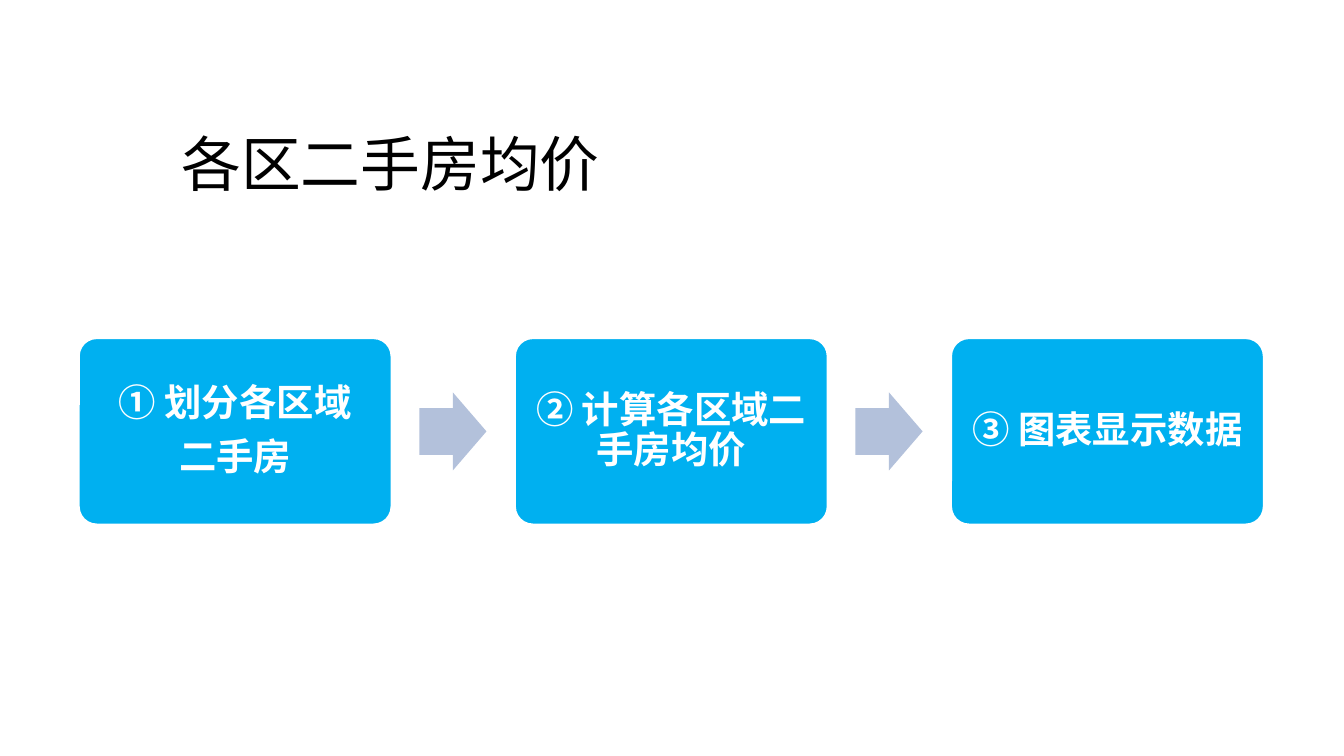
from dataclasses import dataclass

from pptx import Presentation
from pptx.dml.color import RGBColor
from pptx.enum.shapes import MSO_SHAPE
from pptx.enum.text import MSO_ANCHOR, PP_ALIGN
from pptx.util import Inches, Pt


@dataclass(frozen=True)
class Theme:
    title_font: str = "Calibri"
    step_font: str = "Arial"
    title_size: Pt = Pt(32)
    step_size: Pt = Pt(20)
    black: RGBColor = RGBColor(0x00, 0x00, 0x00)
    white: RGBColor = RGBColor(0xFF, 0xFF, 0xFF)
    box: RGBColor = RGBColor(0x00, 0xB0, 0xF0)
    arrow: RGBColor = RGBColor(0xB3, 0xC1, 0xDB)


theme = Theme()


def add_run(p, text, font, size, color, bold):
    r = p.add_run()
    r.text = text
    r.font.name = font
    r.font.size = size
    r.font.color.rgb = color
    r.font.bold = bold


def add_block(s, kind, left, top, width, height, fill):
    sp = s.shapes.add_shape(kind, Inches(left), Inches(top), Inches(width), Inches(height))
    sp.shadow.inherit = False
    sp.fill.solid()
    sp.fill.fore_color.rgb = fill
    return sp


prs = Presentation()
prs.slide_width = Inches(10)
prs.slide_height = Inches(10 * 9 / 16)
s = prs.slides.add_slide(prs.slide_layouts[5])

title = s.shapes.title
title.left, title.top = Inches(1.25), Inches(0.89)
title.width, title.height = Inches(8.59), Inches(0.67)
tf = title.text_frame
tf.word_wrap = True
tf.vertical_anchor = MSO_ANCHOR.TOP
p = tf.paragraphs[0]
p.alignment = PP_ALIGN.LEFT
add_run(p, "各区二手房均价", theme.title_font, theme.title_size, theme.black, False)

steps = [
    ["① 划分各区域", "二手房"],
    ["② 计算各区域二手房均价"],
    ["③ 图表显示数据"],
]
left, last_left, top, width, height = 0.58, 7.07, 2.51, 2.34, 1.4
pitch = (last_left - left) / (len(steps) - 1)
arrow_gap, arrow_width, arrow_height = 0.2, 0.5, 0.58

for i, lines in enumerate(steps):
    x = left + i * pitch
    sp = add_block(s, MSO_SHAPE.ROUNDED_RECTANGLE, x, top, width, height, theme.box)
    sp.adjustments[0] = 0.1
    sp.line.color.rgb = theme.white
    sp.line.width = Pt(2)

    tf = sp.text_frame
    tf.word_wrap = True
    tf.vertical_anchor = MSO_ANCHOR.MIDDLE
    tf.margin_left = tf.margin_right = tf.margin_top = tf.margin_bottom = Inches(0.08)
    for j, line in enumerate(lines):
        p = tf.add_paragraph() if j else tf.paragraphs[0]
        p.alignment = PP_ALIGN.CENTER
        p.line_spacing = 0.9
        p.space_after = Pt(7)
        add_run(p, line, theme.step_font, theme.step_size, theme.white, True)

    if i < len(steps) - 1:
        sp = add_block(s, MSO_SHAPE.RIGHT_ARROW, x + width + arrow_gap,
                       top + (height - arrow_height) / 2,
                       arrow_width, arrow_height, theme.arrow)
        sp.adjustments[0] = 0.6
        sp.adjustments[1] = 0.5
        sp.line.fill.background()

prs.save("out.pptx")
